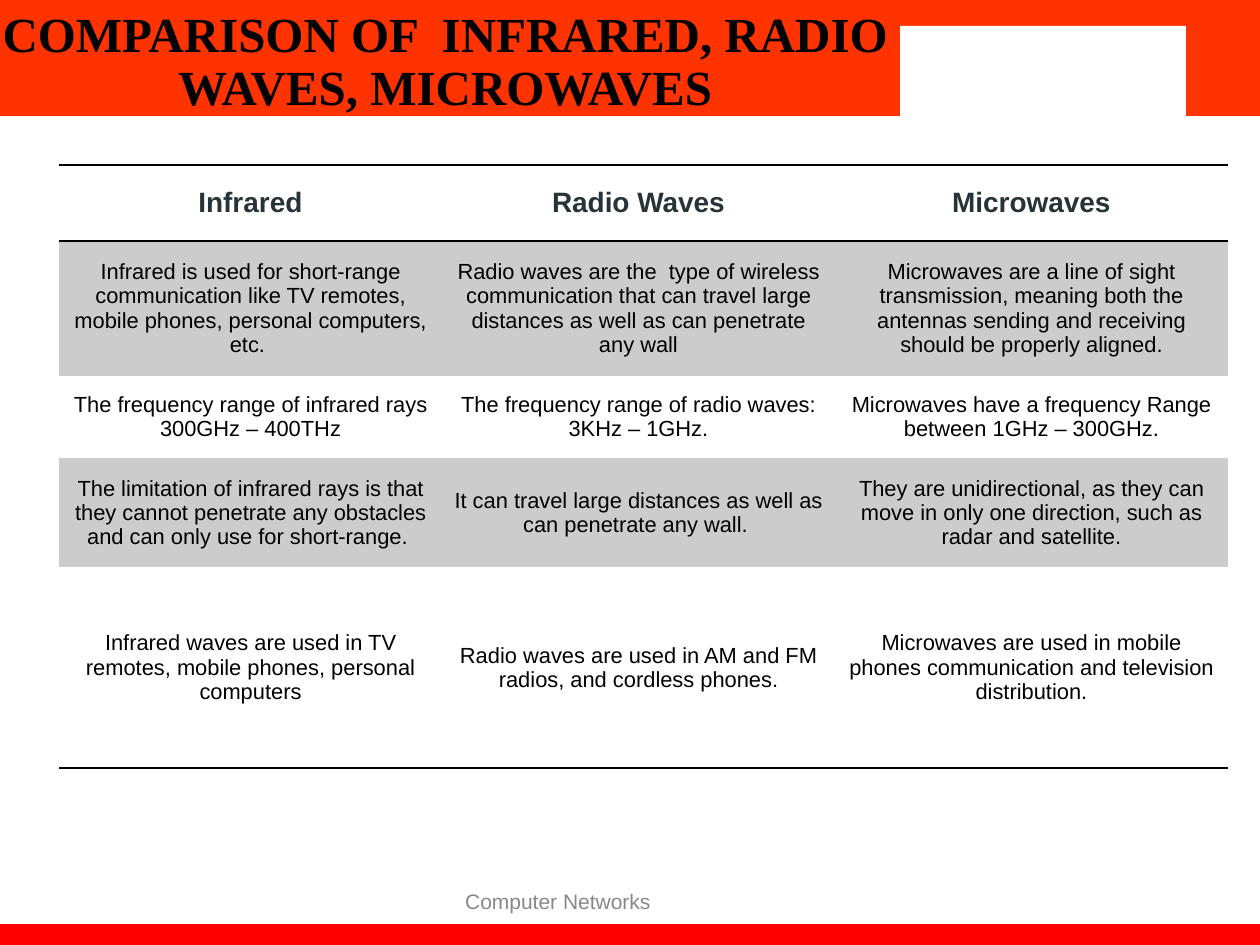
from lxml import etree
from pptx import Presentation
from pptx.dml.color import RGBColor
from pptx.enum.shapes import MSO_SHAPE
from pptx.enum.text import MSO_ANCHOR, PP_ALIGN
from pptx.oxml.ns import qn
from pptx.util import Emu, Pt

RECTANGLE = MSO_SHAPE.RECTANGLE
MIDDLE = MSO_ANCHOR.MIDDLE
CENTER = PP_ALIGN.CENTER

EMU_PER_PX = 914400 / 126
NO_STYLE = "{2D5ABB26-0587-4C30-8999-92F81FD0307C}"

ORANGE = RGBColor(0xFF, 0x33, 0x00)
RED = RGBColor(0xFF, 0x00, 0x00)
WHITE = RGBColor(0xFF, 0xFF, 0xFF)
BLACK = RGBColor(0x00, 0x00, 0x00)
SLATE = RGBColor(0x27, 0x32, 0x39)
BAND_GRAY = RGBColor(0xCC, 0xCC, 0xCC)
FOOTER_GRAY = RGBColor(0x88, 0x88, 0x88)

COLUMN_WIDTHS = (383, 393, 393)
ROW_HEIGHTS = (76, 134, 82, 108, 201)
ROWS = (
    ("Infrared", "Radio Waves", "Microwaves"),
    ("Infrared is used for short-range communication like TV remotes, "
     "mobile phones, personal computers, etc. ",
     "Radio waves are the  type of wireless communication that can travel "
     "large distances as well as can penetrate any wall",
     "Microwaves are a line of sight transmission, meaning both the "
     "antennas sending and receiving should be properly aligned."),
    ("The frequency range of infrared rays 300GHz – 400THz",
     "The frequency range of radio waves: 3KHz – 1GHz.",
     "Microwaves have a frequency Range between 1GHz – 300GHz."),
    ("The limitation of infrared rays is that they cannot penetrate any "
     "obstacles and can only use for short-range. ",
     "It can travel large distances as well as can penetrate any wall. ",
     "They are unidirectional, as they can move in only one direction, "
     "such as radar and satellite."),
    ("Infrared waves are used in TV remotes, mobile phones, personal "
     "computers",
     "Radio waves are used in AM and FM radios, and cordless phones.",
     "Microwaves are used in mobile phones communication and television "
     "distribution."),
)


def px(length):
    return Emu(round(length * EMU_PER_PX))


def add_block(page, left, top, width, height, color):
    block = page.shapes.add_shape(
        RECTANGLE, px(left), px(top), px(width), px(height))
    block.shadow.inherit = False
    block.fill.solid()
    block.fill.fore_color.rgb = color
    block.line.fill.background()


def format_text(frame, size, color, font="Arial", bold=False):
    for para in frame.paragraphs:
        para.alignment = CENTER
        for span in para.runs:
            span.font.name = font
            span.font.size = Pt(size)
            span.font.bold = bold
            span.font.color.rgb = color


def set_margins(target, side, end):
    target.margin_left = target.margin_right = px(side)
    target.margin_top = target.margin_bottom = px(end)


def add_text(page, left, top, width, height, text, *style):
    box = page.shapes.add_textbox(px(left), px(top), px(width), px(height))
    frame = box.text_frame
    frame.word_wrap = True
    frame.vertical_anchor = MIDDLE
    set_margins(frame, 0, 0)
    frame.text = text
    format_text(frame, *style)
    return frame


def add_border(cell, side):
    """Draw a black rule on one side: lnT for the top, lnB for the bottom."""
    properties = cell._tc.get_or_add_tcPr()
    line = etree.SubElement(properties, qn(f"a:{side}"), w=str(Pt(1)))
    fill = etree.SubElement(line, qn("a:solidFill"))
    etree.SubElement(fill, qn("a:srgbClr"), val=str(BLACK))


def fill_cell(cell, text, row):
    is_header = row == 0
    cell.text = text
    cell.vertical_anchor = MIDDLE
    set_margins(cell, 10, 10 if is_header else 15)
    if is_header:
        format_text(cell.text_frame, 16, SLATE, "Arial", True)
        add_border(cell, "lnT")
    else:
        format_text(cell.text_frame, 12.5, BLACK)
    if row in (0, len(ROWS) - 1):
        add_border(cell, "lnB")
    if row % 2:
        cell.fill.solid()
        cell.fill.fore_color.rgb = BAND_GRAY
    else:
        cell.fill.background()


def add_comparison_table(page, left, top):
    holder = page.shapes.add_table(
        len(ROWS), len(COLUMN_WIDTHS), px(left), px(top),
        px(sum(COLUMN_WIDTHS)), px(sum(ROW_HEIGHTS)))
    table = holder.table
    table.horz_banding = False
    next(table._tbl.iter(qn("a:tableStyleId"))).text = NO_STYLE
    for column, width in zip(table.columns, COLUMN_WIDTHS):
        column.width = px(width)
    for row, (height, texts) in enumerate(zip(ROW_HEIGHTS, ROWS)):
        table.rows[row].height = px(height)
        for column, text in enumerate(texts):
            fill_cell(table.cell(row, column), text, row)


def main():
    deck = Presentation()
    deck.slide_width, deck.slide_height = px(1260), px(945)
    page = deck.slides.add_slide(deck.slide_layouts[6])

    add_block(page, 0, 0, 1260, 116, ORANGE)
    add_block(page, 0, 924, 1260, 21, RED)
    add_block(page, 847, 0, 413, 116, ORANGE)
    add_block(page, 900, 26, 286, 95, WHITE)

    title = add_text(page, 0, 0, 890, 126,
                     "COMPARISON OF  INFRARED, RADIO WAVES, MICROWAVES",
                     28, BLACK, "Times New Roman", True)
    title.paragraphs[0].line_spacing = 0.9
    add_text(page, 408, 876, 300, 50, "Computer Networks", 12, FOOTER_GRAY)
    add_comparison_table(page, 59, 165)

    deck.save("out.pptx")


if __name__ == "__main__":
    main()
